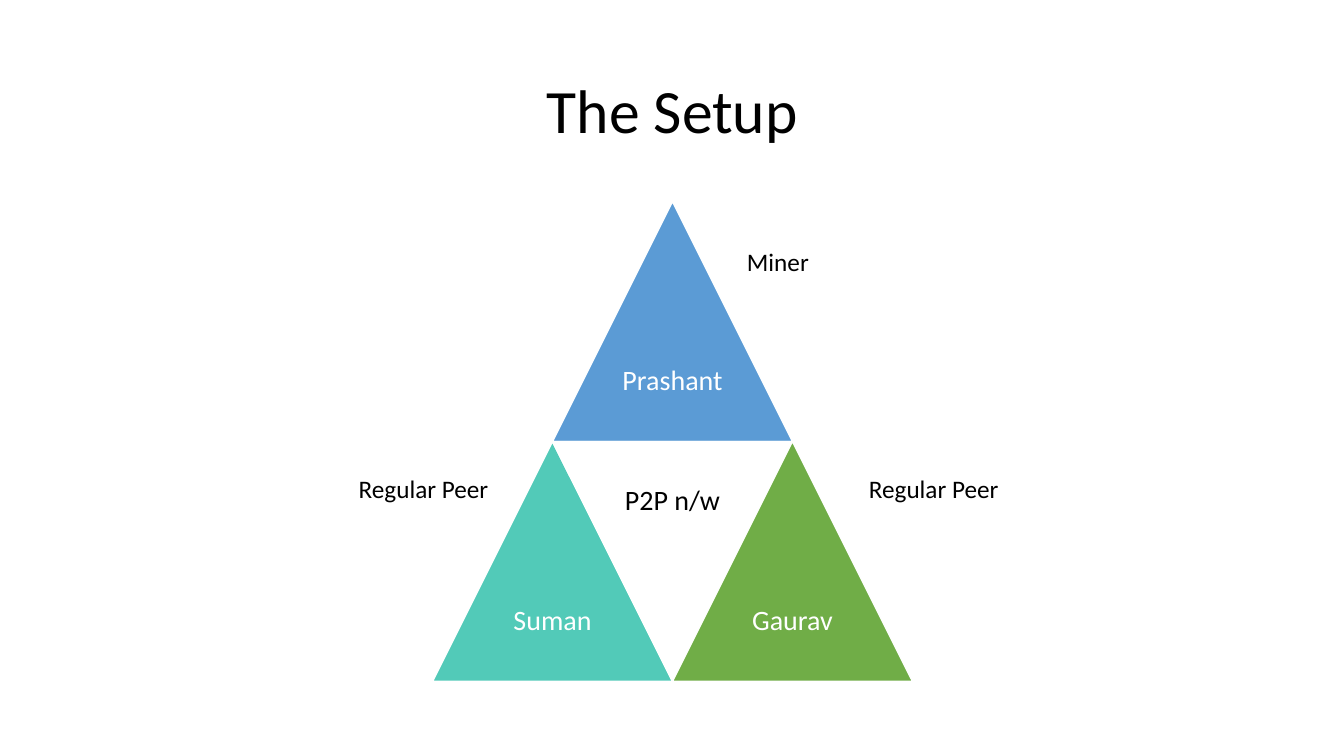
import pptx
import pptx.util
from pptx.dml.color import RGBColor
from pptx.enum.shapes import MSO_SHAPE
from pptx.enum.text import MSO_ANCHOR, PP_ALIGN
from pptx.util import Inches

BLACK = RGBColor(0x00, 0x00, 0x00)
WHITE = RGBColor(0xFF, 0xFF, 0xFF)
BLUE = RGBColor(0x5B, 0x9B, 0xD5)
TEAL = RGBColor(0x52, 0xCA, 0xB8)
GREEN = RGBColor(0x70, 0xAD, 0x47)

FONT = "Calibri"
SIDE = 2.38


def add_text(slide, text, box, size, color=BLACK, align=PP_ALIGN.LEFT,
             anchor=MSO_ANCHOR.TOP, spacing=1.0, inset=None):
    """Place one line of text; box is left, top, width, height in inches."""
    text_frame = slide.shapes.add_textbox(*map(Inches, box)).text_frame
    text_frame.word_wrap = True
    text_frame.vertical_anchor = anchor
    if inset is not None:
        text_frame.margin_left = text_frame.margin_right = Inches(inset)
        text_frame.margin_top = text_frame.margin_bottom = Inches(inset)
    text_frame.text = text
    paragraph = text_frame.paragraphs[0]
    paragraph.alignment = align
    paragraph.line_spacing = spacing
    font = paragraph.runs[0].font
    font.name = FONT
    font.size = pptx.util.Pt(size)
    font.color.rgb = color


def add_title(slide, text, box):
    add_text(slide, text, box, 44, align=PP_ALIGN.CENTER,
             anchor=MSO_ANCHOR.MIDDLE, spacing=0.9)


def add_triangle(slide, left, top, name, fill=None):
    """Draw one labelled triangle; without a fill it is clear and points down."""
    triangle = slide.shapes.add_shape(
        MSO_SHAPE.ISOSCELES_TRIANGLE, *map(Inches, (left, top, SIDE, SIDE)))
    triangle.shadow.inherit = False
    triangle.line.color.rgb = WHITE
    triangle.line.width = pptx.util.Pt(1)
    half = SIDE / 2
    if fill is None:
        triangle.fill.background()
        triangle.rotation = 180
        label_top = top
    else:
        triangle.fill.solid()
        triangle.fill.fore_color.rgb = fill
        label_top = top + half
    add_text(slide, name, (left + SIDE / 4, label_top, half, half), 20,
             BLACK if fill is None else WHITE, PP_ALIGN.CENTER,
             MSO_ANCHOR.MIDDLE, 0.9, 0.08)


def add_peer_pyramid(slide, left, top):
    """Stack four triangles into a pyramid two sides wide and high."""
    half, base = SIDE / 2, top + SIDE
    add_triangle(slide, left + half, top, "Prashant", BLUE)
    add_triangle(slide, left, base, "Suman", TEAL)
    add_triangle(slide, left + half, base, "P2P n/w")
    add_triangle(slide, left + SIDE, base, "Gaurav", GREEN)


def add_role_labels(slide, left, top):
    """Name the roles beside the pyramid whose corner is given."""
    for text, across, down, width in (
        ("Miner", 3.02, 0.39, 0.89),
        ("Regular Peer", -0.83, 2.65, 1.57),
        ("Regular Peer", 4.23, 2.65, 1.57),
    ):
        add_text(slide, text, (left + across, top + down, width, 0.4), 18)


def main():
    presentation = pptx.Presentation()
    presentation.slide_width = Inches(13.33)
    presentation.slide_height = Inches(7.5)
    slide = presentation.slides.add_slide(presentation.slide_layouts[6])
    add_title(slide, "The Setup", (0.92, 0.4, 11.5, 1.45))
    add_peer_pyramid(slide, 4.29, 2)
    add_role_labels(slide, 4.29, 2)
    presentation.save("out.pptx")


if __name__ == "__main__":
    main()
